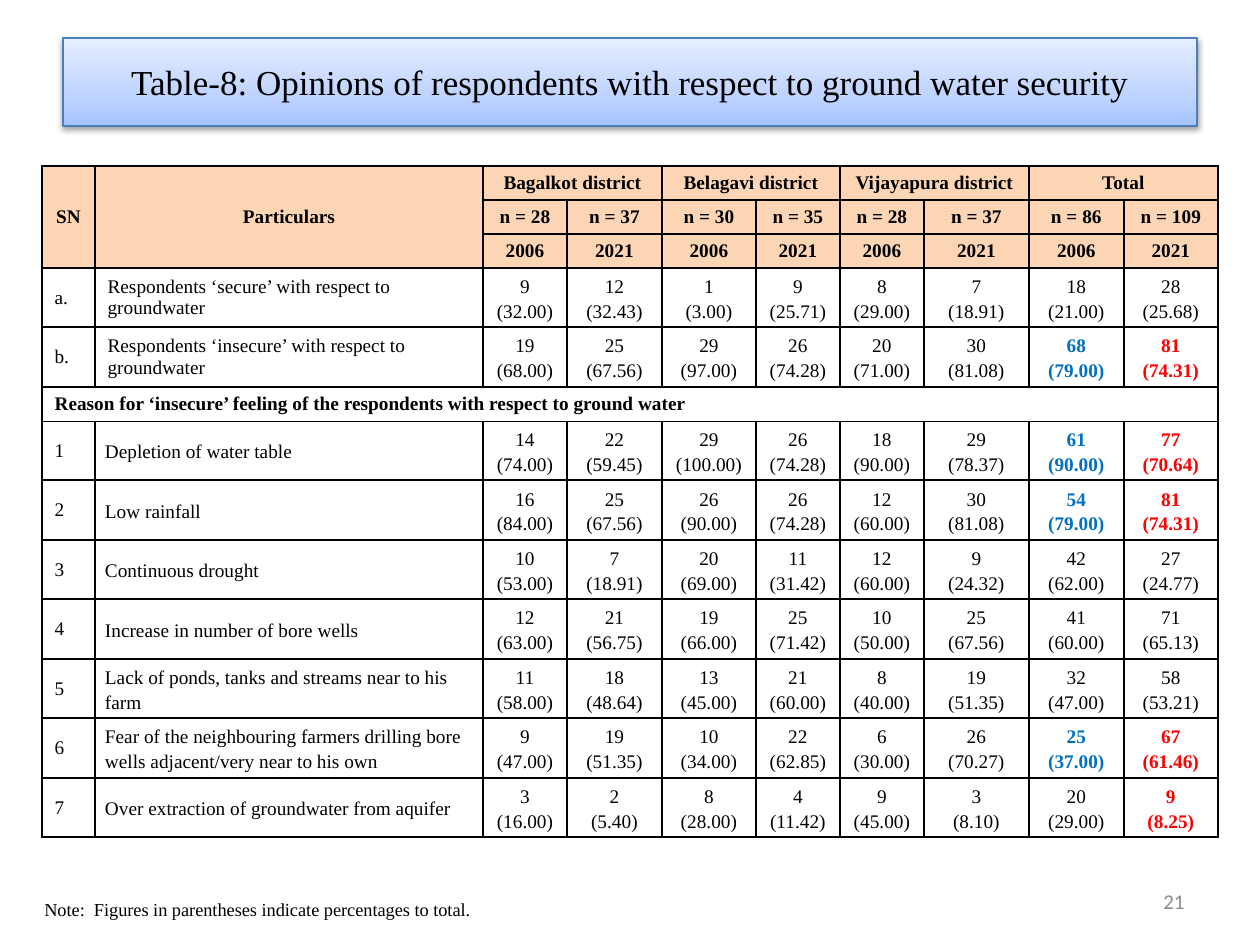
from lxml.etree import SubElement
from pptx import Presentation
from pptx.dml.color import RGBColor
from pptx.enum.text import MSO_ANCHOR, MSO_AUTO_SIZE, PP_ALIGN
from pptx.oxml.ns import qn
from pptx.util import Pt

COLORS = {
    "black": "000000",
    "blue": "0070C0",
    "red": "FF0000",
    "gray": "8C8C8C",
    "header": "FCD5B5",
    "title_line": "4B7EBC",
}
TITLE_STOPS = [(0, "A4C4FF"), (35, "BFD4FF"), (100, "E6EEFF")]
SERIF = "Times New Roman"

DISTRICTS = ["Bagalkot district", "Belagavi district", "Vijayapura district", "Total"]
SAMPLES = [28, 37, 30, 35, 28, 37, 86, 109]
COLUMN_WIDTHS = [53, 388, 84, 95, 94, 84, 84, 105, 95, 94]
ROW_HEIGHTS = [34, 34, 34, 59, 60, 34] + [59, 60] * 3 + [59]

REASON = "Reason for ‘insecure’ feeling of the respondents with respect to ground water"
PLAIN = ("black", "black")
MARKED = ("blue", "red")
SECURITY = [
    ("a.", "Respondents ‘secure’ with respect to groundwater", PLAIN,
     "9 (32.00) 12 (32.43) 1 (3.00) 9 (25.71) 8 (29.00) 7 (18.91) 18 (21.00) 28 (25.68)"),
    ("b.", "Respondents ‘insecure’ with respect to groundwater", MARKED,
     "19 (68.00) 25 (67.56) 29 (97.00) 26 (74.28) 20 (71.00) 30 (81.08) 68 (79.00) 81 (74.31)"),
]
REASONS = [
    ("1", "Depletion of water table", MARKED,
     "14 (74.00) 22 (59.45) 29 (100.00) 26 (74.28) 18 (90.00) 29 (78.37) 61 (90.00) 77 (70.64)"),
    ("2", "Low rainfall", MARKED,
     "16 (84.00) 25 (67.56) 26 (90.00) 26 (74.28) 12 (60.00) 30 (81.08) 54 (79.00) 81 (74.31)"),
    ("3", "Continuous drought", PLAIN,
     "10 (53.00) 7 (18.91) 20 (69.00) 11 (31.42) 12 (60.00) 9 (24.32) 42 (62.00) 27 (24.77)"),
    ("4", "Increase in number of bore wells", PLAIN,
     "12 (63.00) 21 (56.75) 19 (66.00) 25 (71.42) 10 (50.00) 25 (67.56) 41 (60.00) 71 (65.13)"),
    ("5", "Lack of ponds, tanks and streams near to his farm", PLAIN,
     "11 (58.00) 18 (48.64) 13 (45.00) 21 (60.00) 8 (40.00) 19 (51.35) 32 (47.00) 58 (53.21)"),
    ("6", "Fear of the neighbouring farmers drilling bore wells adjacent/very near to his own", MARKED,
     "9 (47.00) 19 (51.35) 10 (34.00) 22 (62.85) 6 (30.00) 26 (70.27) 25 (37.00) 67 (61.46)"),
    ("7", "Over extraction of groundwater from aquifer", ("black", "red"),
     "3 (16.00) 2 (5.40) 8 (28.00) 4 (11.42) 9 (45.00) 3 (8.10) 20 (29.00) 9 (8.25)"),
]


def px(length):
    return round(length * 914400 / 126)


def write(frame, text, size=11, font=SERIF, color="black", bold=False,
          align=PP_ALIGN.LEFT, spacing=None):
    for index, line in enumerate(text.split("\n")):
        paragraph = frame.add_paragraph() if index else frame.paragraphs[0]
        paragraph.alignment = align
        if spacing:
            paragraph.line_spacing = spacing
        run = paragraph.add_run()
        run.text = line
        run.font.size = Pt(size)
        run.font.name = font
        run.font.bold = bold
        run.font.color.rgb = RGBColor.from_string(COLORS[color])


def add_xml(parent, tag, **attributes):
    return SubElement(parent, qn(tag), {name: str(value) for name, value in attributes.items()})


class SlideBuilder:
    def __init__(self, presentation):
        self.slide = presentation.slides.add_slide(presentation.slide_layouts[5])

    def title(self, text, left, top, width, height):
        title = self.slide.shapes.title
        title.left, title.top, title.width, title.height = map(px, (left, top, width, height))
        title.fill.gradient()
        title.fill.gradient_angle = 90
        properties = title.element.spPr
        stops = properties.find(".//" + qn("a:gsLst"))
        stops.clear()
        for position, color in TITLE_STOPS:
            stop = add_xml(stops, "a:gs", pos=position * 1000)
            add_xml(stop, "a:srgbClr", val=color)
        title.line.color.rgb = RGBColor.from_string(COLORS["title_line"])
        title.line.width = Pt(0.75)
        effects = add_xml(properties, "a:effectLst")
        shadow = add_xml(effects, "a:outerShdw", blurRad=Pt(3.1), dist=Pt(1.6),
                         dir=5400000, rotWithShape=0)
        shade = add_xml(shadow, "a:srgbClr", val=COLORS["black"])
        add_xml(shade, "a:alpha", val=38000)
        frame = title.text_frame
        frame.auto_size = MSO_AUTO_SIZE.NONE
        frame.vertical_anchor = MSO_ANCHOR.MIDDLE
        write(frame, text, size=20, align=PP_ALIGN.CENTER)

    def text(self, text, left, top, width, height, anchor=MSO_ANCHOR.TOP, **style):
        frame = self.slide.shapes.add_textbox(*map(px, (left, top, width, height))).text_frame
        frame.word_wrap = True
        frame.vertical_anchor = anchor
        write(frame, text, **style)

    def table(self, left, top, widths, heights):
        table = self.slide.shapes.add_table(
            len(heights), len(widths),
            *map(px, (left, top, sum(widths), sum(heights)))).table
        table.first_row = table.horz_banding = False
        for column, width in zip(table.columns, widths):
            column.width = px(width)
        for row, height in zip(table.rows, heights):
            row.height = px(height)
        for cell in table.iter_cells():
            properties = cell._tc.get_or_add_tcPr()
            for side in ("a:lnL", "a:lnR", "a:lnT", "a:lnB"):
                border = add_xml(properties, side, w=Pt(1))
                add_xml(add_xml(border, "a:solidFill"), "a:srgbClr", val=COLORS["black"])
            cell.fill.background()
            cell.vertical_anchor = MSO_ANCHOR.MIDDLE
        return table

    def header_cell(self, cell, text, end=None):
        if end:
            cell.merge(end)
        cell.fill.solid()
        cell.fill.fore_color.rgb = RGBColor.from_string(COLORS["header"])
        write(cell.text_frame, text, bold=True, align=PP_ALIGN.CENTER)

    def tight_cell(self, cell, text, **style):
        cell.margin_left = cell.margin_right = px(10)
        cell.margin_top = cell.margin_bottom = px(4)
        write(cell.text_frame, text, spacing=1.15, **style)

    def data_row(self, table, row, entry, tight):
        number, particulars, total_colors, figures = entry
        write(table.cell(row, 0).text_frame, number)
        if tight:
            self.tight_cell(table.cell(row, 1), particulars)
        else:
            write(table.cell(row, 1).text_frame, particulars)
        values = figures.split()
        colors = ["black"] * 6 + list(total_colors)
        for column, (count, share, color) in enumerate(zip(values[::2], values[1::2], colors), 2):
            self.tight_cell(table.cell(row, column), f"{count}\n{share}", color=color,
                            bold=color != "black", align=PP_ALIGN.CENTER)


def main():
    presentation = Presentation()
    presentation.slide_width, presentation.slide_height = px(1260), px(945)
    builder = SlideBuilder(presentation)
    builder.title("Table-8: Opinions of respondents with respect to ground water security",
                  63, 38, 1134, 88)

    opinions = builder.table(42, 166, COLUMN_WIDTHS, ROW_HEIGHTS)
    for column, heading in enumerate(["SN", "Particulars"]):
        builder.header_cell(opinions.cell(0, column), heading, opinions.cell(2, column))
    for index, district in enumerate(DISTRICTS):
        column = 2 + 2 * index
        builder.header_cell(opinions.cell(0, column), district, opinions.cell(0, column + 1))
    for index, sample in enumerate(SAMPLES):
        builder.header_cell(opinions.cell(1, index + 2), f"n = {sample}")
        builder.header_cell(opinions.cell(2, index + 2), ("2006", "2021")[index % 2])
    for row, entry in enumerate(SECURITY, 3):
        builder.data_row(opinions, row, entry, tight=False)
    opinions.cell(5, 0).merge(opinions.cell(5, 9))
    write(opinions.cell(5, 0).text_frame, REASON, bold=True)
    for row, entry in enumerate(REASONS, 6):
        builder.data_row(opinions, row, entry, tight=True)

    builder.text("Note:  Figures in parentheses indicate percentages to total.",
                 32, 892, 630, 35, size=10.5)
    builder.text("21", 903, 876, 294, 50, anchor=MSO_ANCHOR.MIDDLE, size=12,
                 font="Calibri", color="gray", align=PP_ALIGN.RIGHT)
    presentation.save("out.pptx")


if __name__ == "__main__":
    main()
